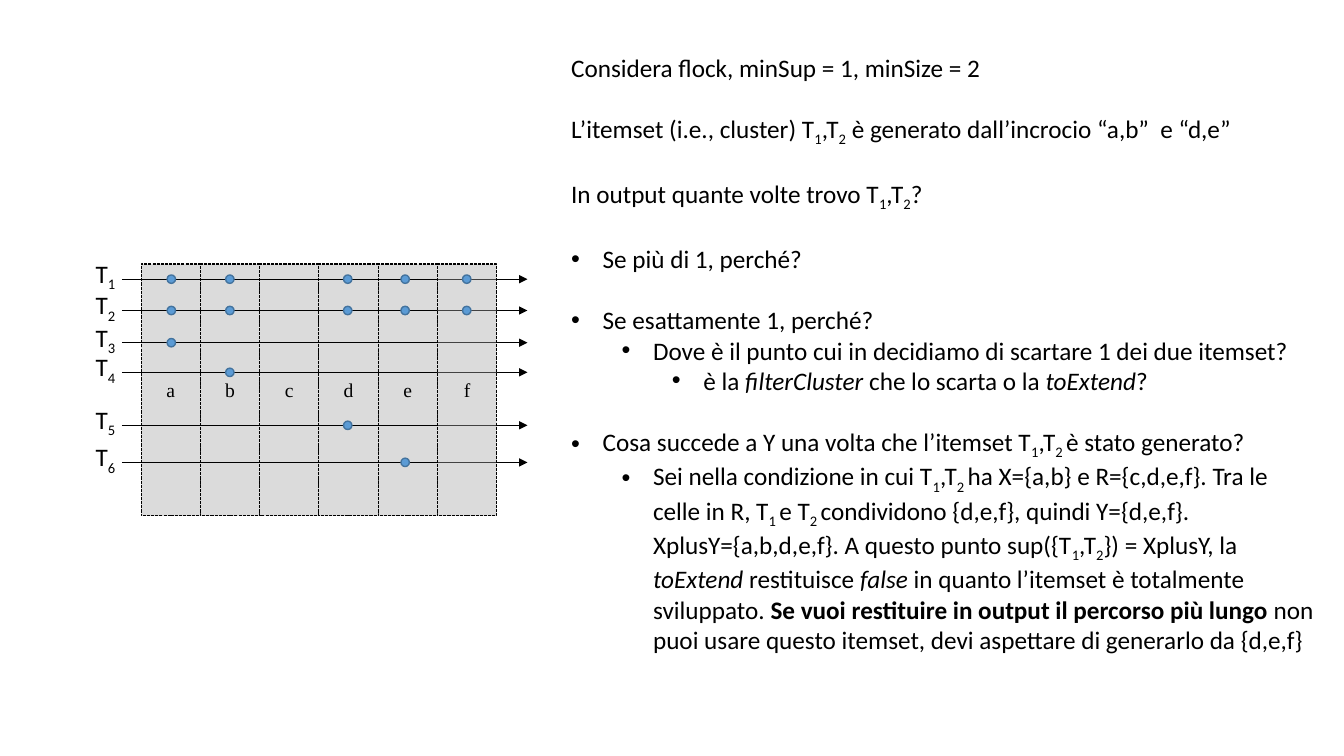
from lxml import etree
from pptx import Presentation
from pptx.dml.color import RGBColor
from pptx.enum import dml, shapes, text
from pptx.oxml.ns import qn
from pptx.util import Pt

# Content. Marks in the text switch a format on and off: _subscript_ /italic/ ^bold^
CELLS = "abcdef"
DOT_X = {"a": 122.4, "b": 164.2, "d": 248.4, "e": 289.4, "f": 333.4}
# Trajectory: label, height on the page, cells visited
TRAJECTORIES = [
    ("T_1_", 199.4, "abdef"),
    ("T_2_", 221.8, "abdef"),
    ("T_3_", 244.8, "a"),
    ("T_4_", 266.0, "b"),
    ("T_5_", 303.8, "d"),
    ("T_6_", 330.3, "e"),
]
# Paragraph: bullet level (None for plain), gap above, text
QUESTIONS = [
    (None, False, "Considera flock, minSup = 1, minSize = 2"),
    (None, True, "L’itemset (i.e., cluster) T_1_,T_2_ è generato dall’incrocio “a,b”  e “d,e”"),
    (None, True, "In output quante volte trovo T_1_,T_2_?"),
    (0, True, "Se più di 1, perché?"),
    (0, True, "Se esattamente 1, perché?"),
    (1, False, "Dove è il punto cui in decidiamo di scartare 1 dei due itemset?"),
    (2, False, "è la /filterCluster /che lo scarta o la /toExtend/?"),
    (0, True, "Cosa succede a Y una volta che l’itemset T_1_,T_2 _è stato generato?"),
    (1, False, "Sei nella condizione in cui T_1_,T_2 _ha X={a,b} e R={c,d,e,f}. "
               "Tra le celle in R, T_1 _e T_2 _condividono {d,e,f}, quindi Y={d,e,f}. "
               "XplusY={a,b,d,e,f}. A questo punto sup({T_1_,T_2_}) = XplusY, la "
               "/toExtend /restituisce /false /in quanto l’itemset è totalmente sviluppato. "
               "^Se vuoi restituire in output il percorso più lungo ^non puoi usare "
               "questo itemset, devi aspettare di generarlo da {d,e,f}"),
]

THEME = {
    "ink": RGBColor(0, 0, 0), "cell": RGBColor(0xA6, 0xA6, 0xA6),
    "dot": RGBColor(0x5B, 0x9B, 0xD5), "dot_edge": RGBColor(0x43, 0x73, 0x9E),
    "body_font": "Calibri", "cell_font": "Times New Roman",
    "body_size": 18, "cell_size": 14,
}
GRID_LEFT, GRID_TOP, CELL_WIDTH, GRID_HEIGHT = 100.8, 188.6, 42.34, 180
ARROW_START, ARROW_END = 87.1, 376.8
DOT_SIZE = 6
LABEL_RISE = 18.4
LINE_GAP = 22
HANGING, LEVEL_STEP = 22.5, 36

deck = Presentation()
deck.slide_width, deck.slide_height = Pt(960), Pt(540)
page = deck.slides.add_slide(deck.slide_layouts[6])


def write(para, marked, font="body_font", size="body_size"):
    """Add marked text to a paragraph, one span per change of format."""
    active, piece = set(), ""

    def flush():
        if piece:
            span = para.add_run()
            span.text = piece
            span.font.name = THEME[font]
            span.font.size = Pt(THEME[size])
            span.font.color.rgb = THEME["ink"]
            if "/" in active:
                span.font.italic = True
            if "^" in active:
                span.font.bold = True
            if "_" in active:
                span.font._element.set("baseline", "-25000")

    for letter in marked:
        if letter in "_/^":
            flush()
            active ^= {letter}
            piece = ""
        else:
            piece += letter
    flush()


def add_box(left, top, width, height, wrap):
    box = page.shapes.add_textbox(Pt(left), Pt(top), Pt(width), Pt(height))
    box.text_frame.word_wrap = wrap
    box.text_frame.auto_size = text.MSO_AUTO_SIZE.SHAPE_TO_FIT_TEXT
    return box.text_frame


def add_bullet(para, level):
    para.level = level
    properties = para._p.get_or_add_pPr()
    properties.set("marL", str(Pt(HANGING + level * LEVEL_STEP)))
    properties.set("indent", str(-Pt(HANGING)))
    etree.SubElement(properties, qn("a:buFont")).set("typeface", "Arial")
    etree.SubElement(properties, qn("a:buChar")).set("char", "•")


def add_figure(kind, left, top, width, height, fill, edge, weight):
    figure = page.shapes.add_shape(kind, Pt(left), Pt(top), Pt(width), Pt(height))
    figure.shadow.inherit = False
    figure.fill.solid()
    figure.fill.fore_color.rgb = THEME[fill]
    figure.line.color.rgb = THEME[edge]
    figure.line.width = Pt(weight)
    return figure


def add_cell(name):
    left = GRID_LEFT + CELLS.index(name) * CELL_WIDTH
    cell = add_figure(shapes.MSO_SHAPE.RECTANGLE, left, GRID_TOP, CELL_WIDTH,
                      GRID_HEIGHT, "cell", "ink", 0.75)
    cell.line.dash_style = dml.MSO_LINE.SQUARE_DOT
    colour = cell._element.spPr.find(qn("a:solidFill"))[0]
    etree.SubElement(colour, qn("a:alpha")).set("val", "40000")
    cell.text_frame.vertical_anchor = text.MSO_ANCHOR.MIDDLE
    para = cell.text_frame.paragraphs[0]
    para.alignment = text.PP_ALIGN.CENTER
    write(para, name, font="cell_font", size="cell_size")


def add_arrow(y):
    arrow = page.shapes.add_connector(shapes.MSO_CONNECTOR.STRAIGHT, Pt(ARROW_START),
                                      Pt(y), Pt(ARROW_END), Pt(y))
    arrow.line.color.rgb = THEME["ink"]
    arrow.line.width = Pt(0.5)
    etree.SubElement(arrow.line._get_or_add_ln(), qn("a:tailEnd")).set("type", "triangle")
    etree.SubElement(arrow._element.spPr, qn("a:effectLst"))


def add_dots(names):
    for _, y, visited in TRAJECTORIES:
        for name in visited:
            if name in names:
                add_figure(shapes.MSO_SHAPE.OVAL, DOT_X[name] - DOT_SIZE / 2,
                           y - DOT_SIZE / 2, DOT_SIZE, DOT_SIZE, "dot", "dot_edge", 1)


# Grid and trajectories; the last cell lies over the arrows
for cell_name in CELLS[:-1]:
    add_cell(cell_name)
for label, height, _ in TRAJECTORIES:
    add_arrow(height)
    frame = add_box(61.2, height - LABEL_RISE, 29.5, 28.8, wrap=False)
    write(frame.paragraphs[0], label)
add_dots(CELLS[:-1])
add_cell(CELLS[-1])
add_dots(CELLS[-1])

# Questions
frame = add_box(400.9, 33.8, 545, 422, wrap=True)
for number, (level, gap, words) in enumerate(QUESTIONS):
    para = frame.add_paragraph() if number else frame.paragraphs[0]
    if gap:
        para.space_before = Pt(LINE_GAP)
    if level is not None:
        add_bullet(para, level)
    write(para, words)

deck.save("out.pptx")
